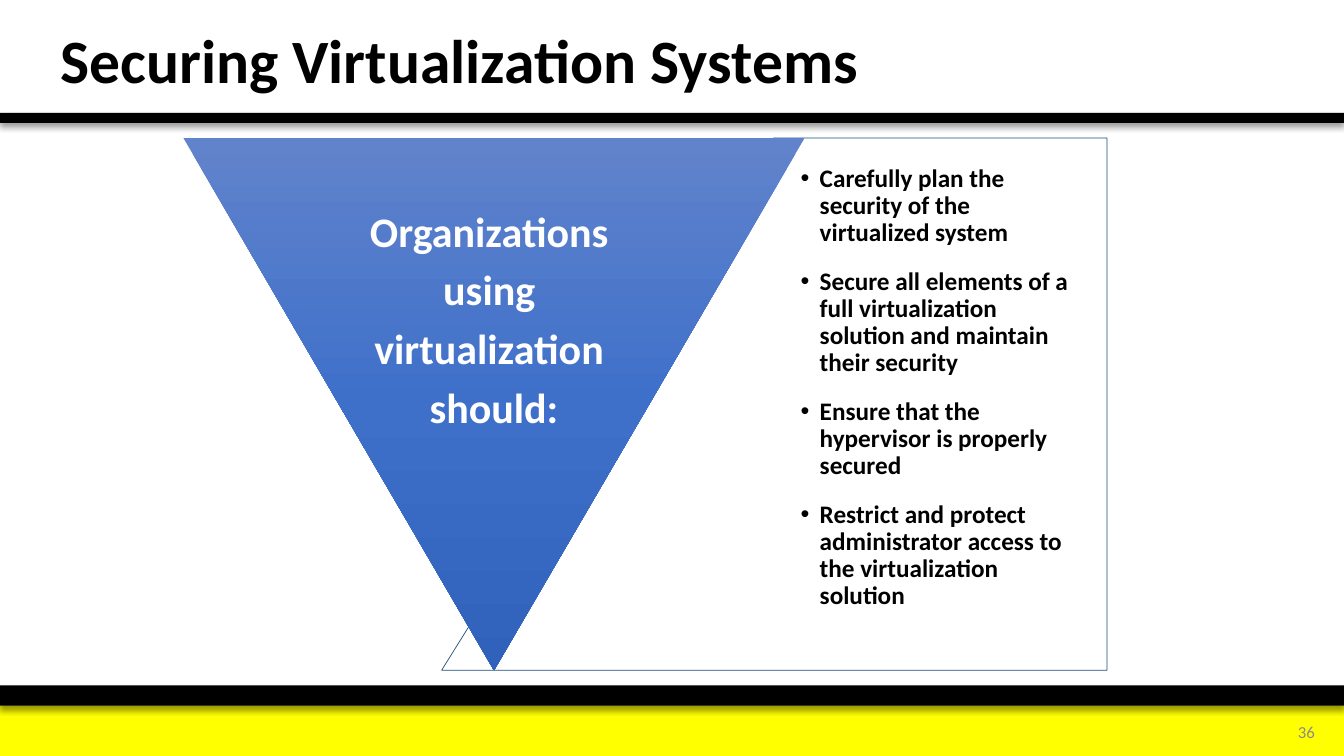
import pptx
import pptx.util
import pptx.dml.color
import pptx.oxml
import pptx.oxml.ns
import pptx.enum.shapes
import pptx.enum.text
from pptx.util import Inches

FONT = "Calibri"
SHAPE = pptx.enum.shapes.MSO_SHAPE
ALIGN = pptx.enum.text.PP_ALIGN
ANCHOR = pptx.enum.text.MSO_ANCHOR
A_NS = pptx.oxml.ns.nsdecls("a")

DIAGRAM_TOP, DIAGRAM_HEIGHT = 1.37, 5.28
HEADING = ["Organizations ", "using ", "virtualization ", "should:"]
ADVICE = [
    "Carefully plan the security of the virtualized system",
    "Secure all elements of a full virtualization solution and maintain their security",
    "Ensure that the hypervisor is properly secured",
    "Restrict and protect administrator access to the virtualization solution",
]


def rgb(color):
    return pptx.dml.color.RGBColor.from_string(color)


def place(sp, left, top, width, height):
    sp.left, sp.top = Inches(left), Inches(top)
    sp.width, sp.height = Inches(width), Inches(height)


def write(sp, lines, size, color, bold=False, align=ALIGN.LEFT,
          anchor=ANCHOR.MIDDLE, inset=None, spacing=None, after=0):
    """Fill a shape with one evenly formatted paragraph per line."""
    tf = sp.text_frame
    tf.word_wrap = True
    tf.auto_size = pptx.enum.text.MSO_AUTO_SIZE.NONE
    tf.vertical_anchor = anchor
    if inset is not None:
        tf.margin_left = tf.margin_right = Inches(inset)
        tf.margin_top = tf.margin_bottom = Inches(inset)
    tf.text = "\n".join(lines)
    for p in tf.paragraphs:
        p.alignment = align
        p.line_spacing = spacing
        p.space_after = pptx.util.Pt(after)
        for r in p.runs:
            r.font.name = FONT
            r.font.size = pptx.util.Pt(size)
            r.font.bold = bold
            r.font.color.rgb = rgb(color)
    return tf


def add_text(s, box, lines, size, color, **style):
    sp = s.shapes.add_textbox(*map(Inches, box))
    return write(sp, lines, size, color, **style)


def add_bar(s, top, height, color, shadow=True):
    """Draw a band across the full slide width."""
    sp = s.shapes.add_shape(SHAPE.RECTANGLE, 0, Inches(top), Inches(13.33), Inches(height))
    sp.fill.solid()
    sp.fill.fore_color.rgb = rgb(color)
    sp.line.fill.background()
    sp.shadow.inherit = False
    if shadow:
        effects = sp._element.spPr.find(pptx.oxml.ns.qn("a:effectLst"))
        effects.append(pptx.oxml.parse_xml(
            f'<a:outerShdw {A_NS} blurRad="{Inches(0.06)}" dist="{Inches(0.04)}" '
            'dir="5400000" algn="t" rotWithShape="0">'
            '<a:srgbClr val="000000"><a:alpha val="40000"/></a:srgbClr></a:outerShdw>'))


def add_panel(s, left, width, slant):
    """Draw the outlined panel whose left side slants inward to the top."""
    top, right, bottom = DIAGRAM_TOP, left + width, DIAGRAM_TOP + DIAGRAM_HEIGHT
    builder = s.shapes.build_freeform(Inches(left), Inches(bottom))
    corners = [(left + slant, top), (right, top), (right, bottom)]
    builder.add_line_segments([(Inches(x), Inches(y)) for x, y in corners], close=True)
    sp = builder.convert_to_shape()
    sp.fill.solid()
    sp.fill.fore_color.rgb = rgb("FFFFFF")
    sp.line.color.rgb = rgb("1F4E79")
    sp.line.width = pptx.util.Pt(0.5)
    sp.shadow.inherit = False


def add_triangle(s, left, width, colors):
    """Draw a downward triangle with evenly spaced gradient colours."""
    sp = s.shapes.add_shape(SHAPE.FLOWCHART_MERGE, Inches(left), Inches(DIAGRAM_TOP),
                            Inches(width), Inches(DIAGRAM_HEIGHT))
    sp.fill.gradient()
    sp.fill.gradient_angle = 270
    stops = sp._element.spPr.find(".//" + pptx.oxml.ns.qn("a:gsLst"))
    for stop in list(stops):
        stops.remove(stop)
    for i, color in enumerate(colors):
        position = 100000 * i // (len(colors) - 1)
        stops.append(pptx.oxml.parse_xml(
            f'<a:gs {A_NS} pos="{position}"><a:srgbClr val="{color}"/></a:gs>'))
    sp.line.fill.background()
    sp.shadow.inherit = False


def add_bullets(tf, indent):
    for p in tf.paragraphs:
        props = p._p.get_or_add_pPr()
        props.set("marL", str(Inches(indent)))
        props.set("indent", str(-Inches(indent)))
        props.append(pptx.oxml.parse_xml(f'<a:buFont {A_NS} typeface="Arial"/>'))
        props.append(pptx.oxml.parse_xml(f'<a:buChar {A_NS} char="•"/>'))


def main():
    prs = pptx.Presentation()
    prs.slide_width, prs.slide_height = Inches(13.33), Inches(7.5)
    s = prs.slides.add_slide(prs.slide_layouts[5])

    add_bar(s, 7, 0.5, "FFFF00", shadow=False)
    add_bar(s, 6.8, 0.2, "000000")
    add_bar(s, 1.12, 0.1, "000000")
    add_text(s, (12.38, 7.06, 0.76, 0.4), ["36"], 12, "8C8C8C", align=ALIGN.RIGHT)

    place(s.shapes.title, 0.5, 0.07, 10.47, 1.12)
    write(s.shapes.title, ["Securing Virtualization Systems"], 44, "000000",
          bold=True, spacing=0.9)

    add_panel(s, 4.38, 6.6, 3.29)
    advice = add_text(s, (7.67, DIAGRAM_TOP, 3.31, DIAGRAM_HEIGHT), ADVICE, 18, "000000",
                      bold=True, anchor=ANCHOR.TOP, inset=0.27, spacing=0.9, after=15.2)
    add_bullets(advice, 0.19)

    add_triangle(s, 1.82, 6.16, ["6183CB", "3E70CA", "3062BB"])
    add_text(s, (1.82, DIAGRAM_TOP, 6.16, 3.58), HEADING, 30, "FFFFFF",
             bold=True, align=ALIGN.CENTER, inset=0.04, after=6)

    prs.save("out.pptx")


if __name__ == "__main__":
    main()
